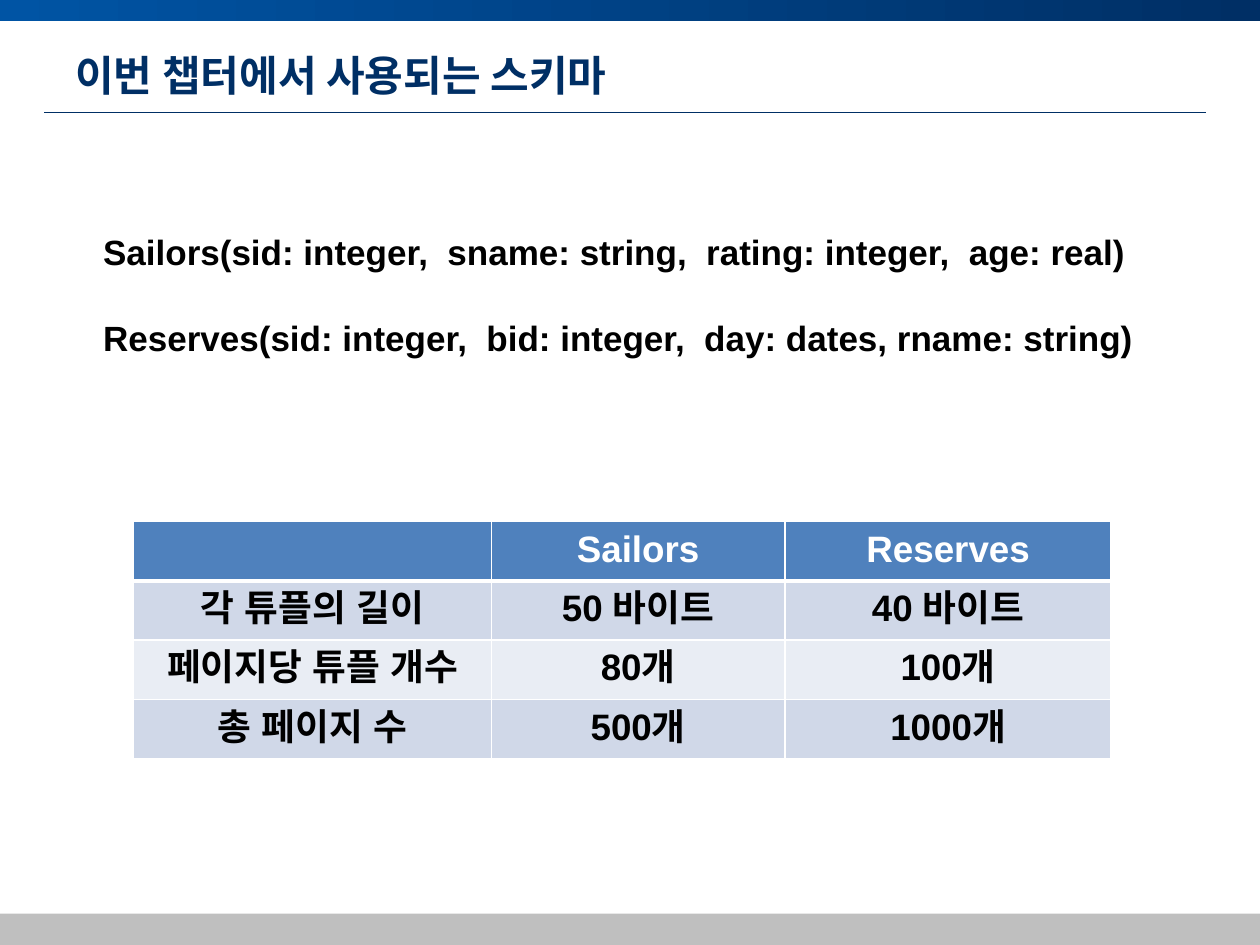
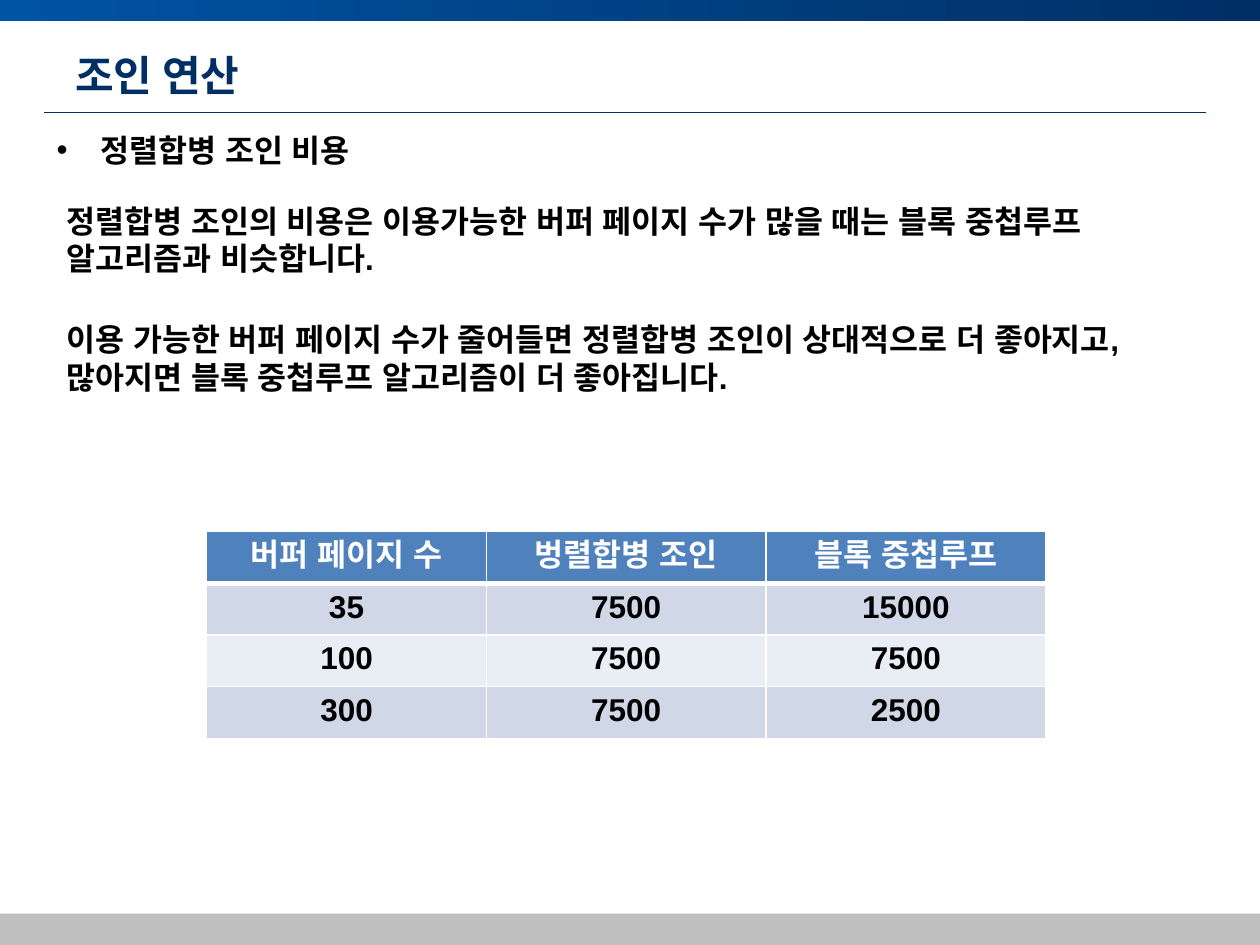
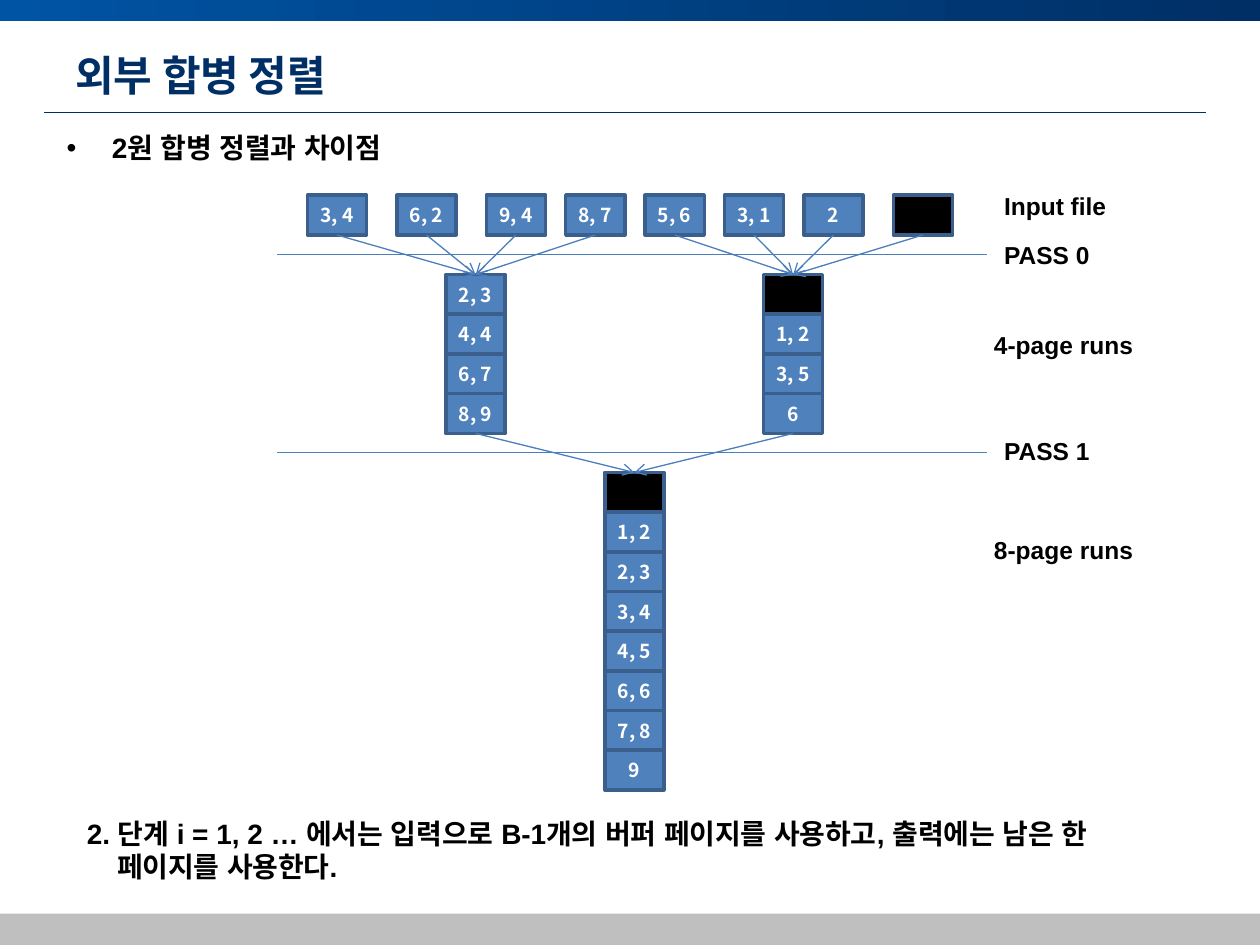
from lxml import etree
from pptx import Presentation
from pptx.dml.color import RGBColor
from pptx.enum import shapes, text
from pptx.oxml import ns
from pptx.util import Inches, Pt

NAVY = RGBColor(0x00, 0x2F, 0x65)
ROYAL = RGBColor(0x00, 0x54, 0xA4)
GRAY = RGBColor(0xBF, 0xBF, 0xBF)
BLUE = RGBColor(0x4F, 0x81, 0xBD)
EDGE = RGBColor(0x3A, 0x5F, 0x8C)
WIRE = RGBColor(0x4B, 0x7E, 0xBC)
DARK = RGBColor(0xD0, 0xD8, 0xE8)
PALE = RGBColor(0xE9, 0xED, 0xF4)
BLACK = RGBColor(0, 0, 0)
WHITE = RGBColor(0xFF, 0xFF, 0xFF)
ARIAL = "Arial"
NOTO = "Noto Sans CJK KR"
CENTER = text.PP_ALIGN.CENTER
RECT = shapes.MSO_SHAPE.RECTANGLE


def write(par, words, size, color=BLACK, font=ARIAL):
    """Add one bold run, with the same font for Latin and Korean."""
    run = par.add_run()
    run.text = words
    run.font.size = Pt(size)
    run.font.bold = True
    run.font.color.rgb = color
    run.font.name = font
    etree.SubElement(run.font._element, ns.qn("a:ea"), typeface=font)


def draw(slide, x1, y1, x2, y2, color=WIRE, width=0.75, arrow=False):
    """Draw a straight line, with an open arrowhead if asked."""
    line = slide.shapes.add_connector(
        shapes.MSO_CONNECTOR.STRAIGHT,
        Inches(x1), Inches(y1), Inches(x2), Inches(y2))
    line.line.color.rgb = color
    line.line.width = Pt(width)
    if arrow:
        etree.SubElement(line.line._get_or_add_ln(), ns.qn("a:tailEnd"), type="arrow")
    etree.SubElement(line._element.spPr, ns.qn("a:effectLst"))


deck = Presentation()
deck.slide_width = Inches(10)
deck.slide_height = Inches(7.5)

# Shared frame: top band, footer band, title and rule
pages = []
for title in ("이번 챕터에서 사용되는 스키마", "조인 연산", "외부 합병 정렬"):
    slide = deck.slides.add_slide(deck.slide_layouts[6])
    pages.append(slide)
    for top, height in ((0, 0.17), (7.25, 0.25)):
        band = slide.shapes.add_shape(RECT, 0, Inches(top), Inches(10), Inches(height))
        band.shadow.inherit = False
        band.line.fill.background()
        if top:
            band.fill.solid()
            band.fill.fore_color.rgb = GRAY
        else:
            band.fill.gradient()
            band.fill.gradient_angle = 0
            for stop, color in zip(band.fill.gradient_stops, (ROYAL, NAVY)):
                stop.color.rgb = color
    draw(slide, 0.35, 0.89, 9.57, 0.89, NAVY, 0.5)
    head = slide.shapes.add_textbox(Inches(0.5), Inches(0.3), Inches(9), Inches(0.58))
    head.text_frame.word_wrap = True
    head.text_frame.vertical_anchor = text.MSO_ANCHOR.MIDDLE
    write(head.text_frame.paragraphs[0], title, 24, NAVY, NOTO)

schema, join, merge = pages

# Text: slide, left, top, width, height, size, hanging indent, bullet, paragraphs
notes = [
    (schema, 0.72, 1.78, 9.2, 1.11, 20, 0, False, [
        "Sailors(sid: integer,  sname: string,  rating: integer,  age: real)",
        "Reserves(sid: integer,  bid: integer,  day: dates, rname: string)"]),
    (join, 0.35, 0.99, 3.31, 0.4, 18, 0.35, True, ["정렬합병 조인 비용"]),
    (join, 0.43, 1.55, 9.12, 0.71, 18, 0, False, [
        "정렬합병 조인의 비용은 이용가능한 버퍼 페이지 수가 많을 때는 "
        "블록 중첩루프 알고리즘과 비슷합니다."]),
    (join, 0.43, 2.49, 9.12, 0.71, 18, 0, False, [
        "이용 가능한 버퍼 페이지 수가 줄어들면 정렬합병 조인이 상대적으로 더 좋아지고, "
        "많아지면 블록 중첩루프 알고리즘이 더 좋아집니다."]),
    (merge, 0.43, 0.99, 4.06, 0.37, 16, 0.36, True, ["2원 합병 정렬과 차이점"]),
    (merge, 0.59, 6.43, 8.82, 0.64, 16, 0.24, False, [
        "2. 단계 i = 1, 2 … 에서는 입력으로 B-1개의 버퍼 페이지를 사용하고, "
        "출력에는 남은 한 페이지를 사용한다."]),
]
labels = [(7.87, 1.47, "Input file"), (7.87, 1.86, "PASS 0"), (7.79, 2.57, "4-page runs"),
          (7.87, 3.41, "PASS 1"), (7.79, 4.2, "8-page runs")]
notes += [(merge, x, y, 1.69, 0.34, 14, 0, False, [words]) for x, y, words in labels]

for slide, x, y, w, h, size, hang, bullet, lines in notes:
    box = slide.shapes.add_textbox(Inches(x), Inches(y), Inches(w), Inches(h))
    frame = box.text_frame
    frame.word_wrap = True
    for i, words in enumerate(lines):
        par = frame.add_paragraph() if i else frame.paragraphs[0]
        par.space_before = Pt(25 if i else 0)
        props = par._p.get_or_add_pPr()
        props.set("marL", str(Inches(hang)))
        props.set("indent", str(-Inches(hang)))
        if bullet:
            etree.SubElement(props, ns.qn("a:buFont"), typeface=ARIAL)
            etree.SubElement(props, ns.qn("a:buChar"), char="•")
        write(par, words, size)

# Tables: slide, left, top, column widths, row height, size, side and top margin, rows
tables = [
    (schema, 1.06, 4.14, (2.84, 2.33, 2.59), 0.47, 21, 0.12, 0.06, [
        ("", "Sailors", "Reserves"),
        ("각 튜플의 길이", "50 바이트", "40 바이트"),
        ("페이지당 튜플 개수", "80개", "100개"),
        ("총 페이지 수", "500개", "1000개")]),
    (join, 1.64, 4.22, (2.22, 2.22, 2.22), 0.41, 18, 0.1, 0.05, [
        ("버퍼 페이지 수", "벙렬합병 조인", "블록 중첩루프"),
        ("35", "7500", "15000"),
        ("100", "7500", "7500"),
        ("300", "7500", "2500")]),
]
for slide, x, y, cols, high, size, side, edge, rows in tables:
    grid = slide.shapes.add_table(len(rows), len(cols), Inches(x), Inches(y),
                                  Inches(sum(cols)), Inches(high * len(rows))).table
    for col, width in zip(grid.columns, cols):
        col.width = Inches(width)
    for r, row in enumerate(rows):
        grid.rows[r].height = Inches(high)
        for c, words in enumerate(row):
            cell = grid.cell(r, c)
            cell.margin_left = cell.margin_right = Inches(side)
            cell.margin_top = cell.margin_bottom = Inches(edge)
            props = cell._tc.get_or_add_tcPr()
            for tag in ("lnL", "lnR", "lnT", "lnB"):
                thick = (r, tag) in ((0, "lnB"), (1, "lnT"))
                rim = etree.SubElement(props, ns.qn("a:" + tag), w=str(Pt(3 if thick else 1)))
                fill = etree.SubElement(rim, ns.qn("a:solidFill"))
                etree.SubElement(fill, ns.qn("a:srgbClr"), val=str(WHITE))
            cell.fill.solid()
            cell.fill.fore_color.rgb = (DARK if r % 2 else PALE) if r else BLUE
            par = cell.text_frame.paragraphs[0]
            par.alignment = CENTER
            if words:
                write(par, words, size, BLACK if r else WHITE)

# Merge sort: stacks of pages, an empty label is a black page
WIDE, HIGH = 0.47, 0.315
INPUT, FOUR, EIGHT = 1.55, 2.18, 3.75
inputs = list(zip((2.44, 3.15, 3.86, 4.49, 5.12, 5.75, 6.38, 7.09),
                  ("3, 4", "6, 2", "9, 4", "8, 7", "5, 6", "3, 1", "2", "")))
left, right, last = 3.54, 6.06, 4.8
stacks = [(x, INPUT, [word]) for x, word in inputs]
stacks += [
    (left, FOUR, ["2, 3", "4, 4", "6, 7", "8, 9"]),
    (right, FOUR, ["", "1, 2", "3, 5", "6"]),
    (last, EIGHT, ["", "1, 2", "2, 3", "3, 4", "4, 5", "6, 6", "7, 8", "9"]),
]
for x, y, words in stacks:
    for i, word in enumerate(words):
        page = merge.shapes.add_shape(RECT, Inches(x), Inches(y + i * HIGH),
                                      Inches(WIDE), Inches(HIGH))
        page.shadow.inherit = False
        page.fill.solid()
        page.fill.fore_color.rgb = BLUE if word else BLACK
        page.line.color.rgb = EDGE
        page.line.width = Pt(2)
        if word:
            frame = page.text_frame
            frame.margin_left = frame.margin_right = 0
            frame.margin_top = frame.margin_bottom = 0
            frame.vertical_anchor = text.MSO_ANCHOR.MIDDLE
            frame.paragraphs[0].alignment = CENTER
            write(frame.paragraphs[0], word, 11, WHITE, NOTO)

for y in (2.02, 3.59):
    draw(merge, 7.83, y, 2.2, y)

mid = WIDE / 2
for i, (x, word) in enumerate(inputs):
    goal = left if i < 4 else right
    draw(merge, x + mid, INPUT + HIGH, goal + mid, FOUR, arrow=True)
for x in (left, right):
    draw(merge, x + mid, FOUR + 4 * HIGH, last + mid, EIGHT, arrow=True)

deck.save("out.pptx")
